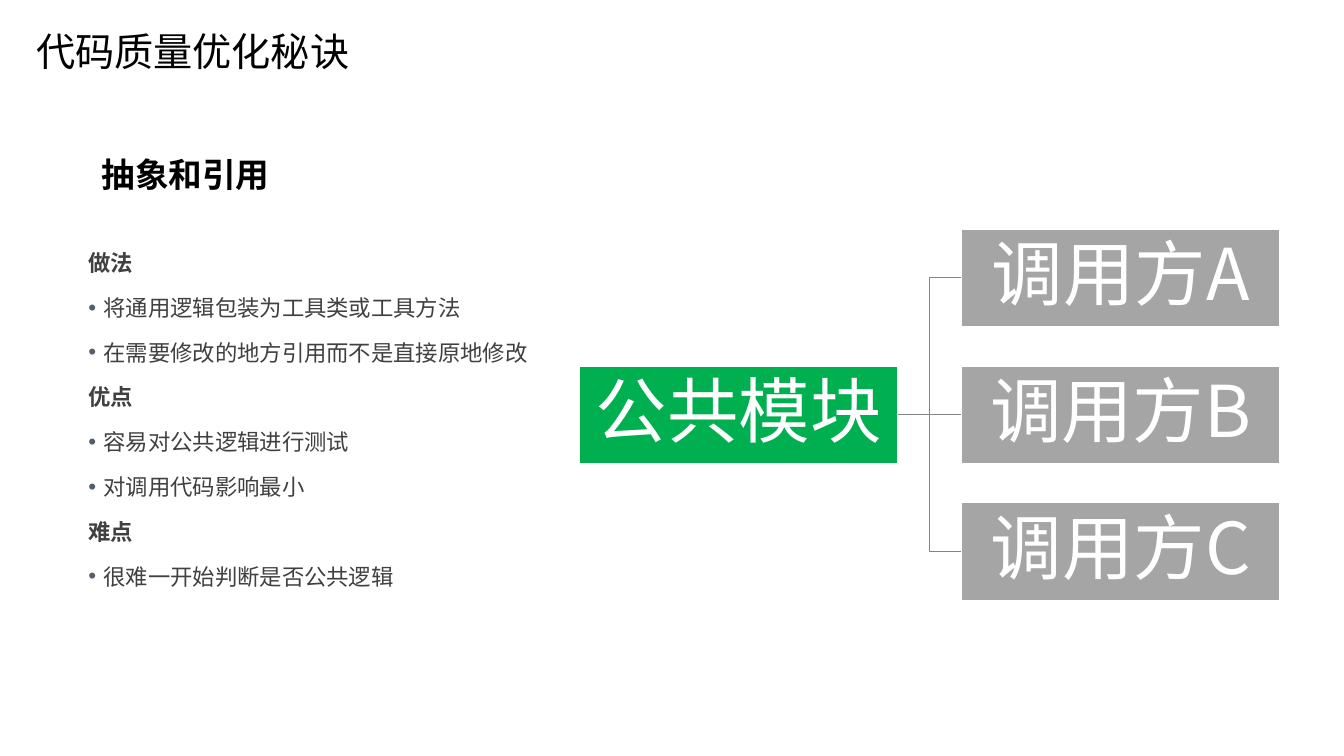
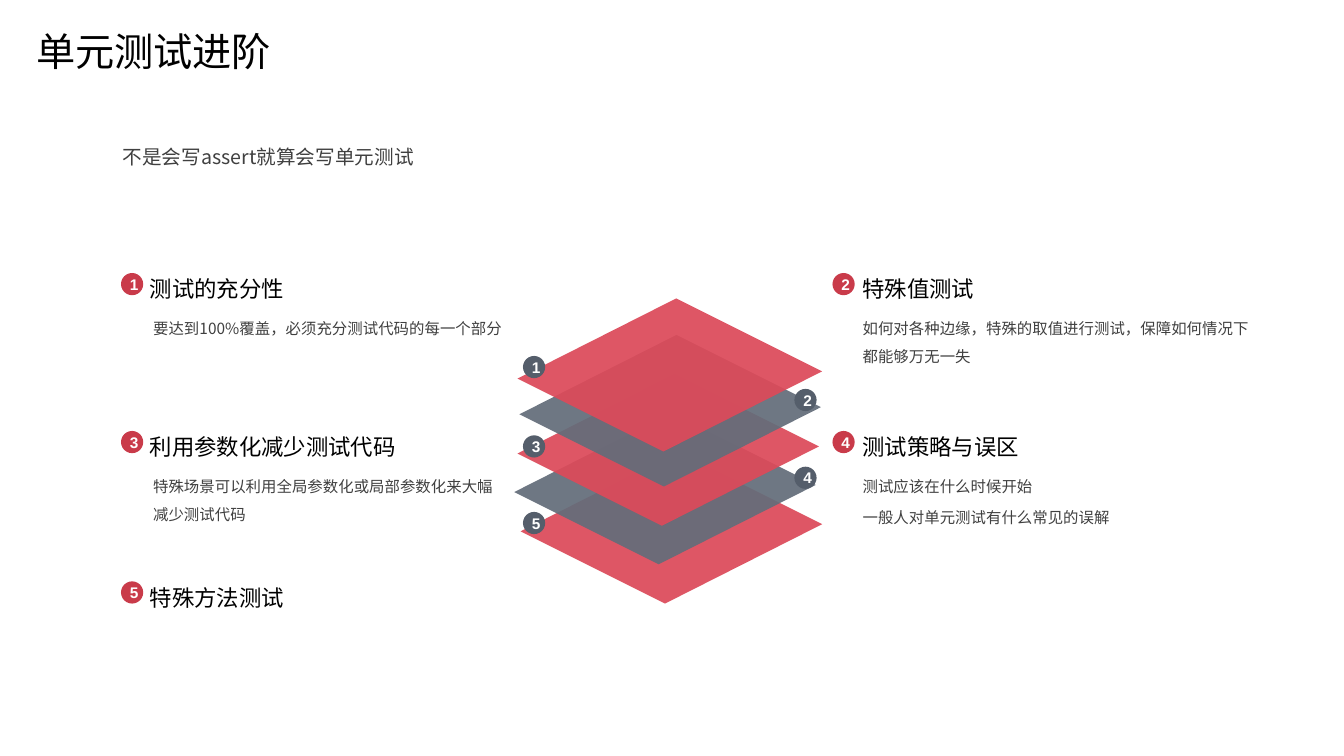
from lxml import etree
from pptx import Presentation
from pptx.dml.color import RGBColor
from pptx.enum.shapes import MSO_CONNECTOR as CONN, MSO_SHAPE as SHAPE
from pptx.enum.text import MSO_ANCHOR as ANCHOR, PP_ALIGN as ALIGN
from pptx.oxml.ns import qn
from pptx.util import Cm, Pt

# Shared style
COLORS = {
    "black": "000000", "body": "404040", "white": "FFFFFF",
    "green": "00B050", "gray": "A5A5A5", "line": "848484",
    "red": "C93B4A", "slate": "555E6B",
    "layer_red": "DC4A5A", "layer_slate": "646D7A",
}
CJK, LATIN = "Noto Sans CJK SC", "Arial"

# Slide 1 content
ABSTRACTION = [
    ("做法", ["将通用逻辑包装为工具类或工具方法",
            "在需要修改的地方引用而不是直接原地修改"]),
    ("优点", ["容易对公共逻辑进行测试", "对调用代码影响最小"]),
    ("难点", ["很难一开始判断是否公共逻辑"]),
]
HUB = "公共模块"
CALLERS = ["调用方A", "调用方B", "调用方C"]

# Slide 2 content: column, row, heading, heading width, body lines
TOPICS = [
    (0, 0, "测试的充分性", 5.9, ["要达到100%覆盖，必须充分测试代码的每一个部分"]),
    (1, 0, "特殊值测试", 5.9,
     ["如何对各种边缘，特殊的取值进行测试，保障如何情况下都能够万无一失"]),
    (0, 1, "利用参数化减少测试代码", 7.57,
     ["特殊场景可以利用全局参数化或局部参数化来大幅减少测试代码"]),
    (1, 1, "测试策略与误区", 5.9,
     ["测试应该在什么时候开始", "一般人对单元测试有什么常见的误解"]),
    (0, 2, "特殊方法测试", 5.9, []),
]
# Columns: badge x, heading x, body x, body width
COLUMNS = [(3.05, 3.53, 3.61, 9.42), (20.98, 21.49, 21.49, 10.24)]
ROWS = [6.48, 10.46, 14.25]
# Layers from the top: centre x, centre y, scale, badge y
LAYERS = [(16.88, 9.45, 1.01, 8.97), (16.89, 10.35, 1, 9.8),
          (16.84, 11.34, 1, 10.97), (16.76, 12.31, 1, 11.76),
          (16.92, 13.3, 1, 12.9)]
LAYER_BADGE_X = [13.18, 20.02]
DIAMOND = [(0.16, -1.91), (3.8, -0.09), (-0.16, 1.91), (-3.8, 0.09)]
BADGE = 0.56


def rgb(name):
    return RGBColor.from_string(COLORS[name])


def add_run(p, text, size, color, bold=False, font=CJK):
    r = p.add_run()
    r.text = text
    r.font.size, r.font.bold, r.font.name = Pt(size), bold, font
    r.font.color.rgb = rgb(color)
    etree.SubElement(r.font._element, qn("a:ea"), typeface=font)


def add_bullet(p):
    pPr = p._p.get_or_add_pPr()
    pPr.set("marL", str(Cm(0.38)))
    pPr.set("indent", str(-Cm(0.38)))
    clr = etree.SubElement(pPr, qn("a:buClr"))
    etree.SubElement(clr, qn("a:srgbClr"), val=COLORS["slate"])
    etree.SubElement(pPr, qn("a:buFont"), typeface=LATIN)
    etree.SubElement(pPr, qn("a:buChar"), char="•")


def add_text(s, x, y, w, h, lines, size, color="body", spacing=1.5):
    """Each line is (text, bold, bulleted)."""
    tf = s.shapes.add_textbox(Cm(x), Cm(y), Cm(w), Cm(h)).text_frame
    tf.word_wrap = True
    for i, (text, bold, bulleted) in enumerate(lines):
        p = tf.add_paragraph() if i else tf.paragraphs[0]
        p.line_spacing = spacing
        if i:
            p.space_before = Pt(size * 0.2)
        if bulleted:
            add_bullet(p)
        add_run(p, text, size, color, bold)


def add_slide(prs, title):
    s = prs.slides.add_slide(prs.slide_layouts[6])
    add_text(s, 0.66, 0.69, 21.03, 1.78, [(title, False, False)], 28, "black", 0.9)
    return s


def paint(sp, fill, line=None, alpha=None):
    sp.shadow.inherit = False
    sp.fill.solid()
    sp.fill.fore_color.rgb = rgb(fill)
    if alpha:
        clr = sp._element.spPr.find(qn("a:solidFill"))[0]
        etree.SubElement(clr, qn("a:alpha"), val=str(alpha * 1000))
    if line:
        sp.line.color.rgb = rgb(line)
        sp.line.width = Pt(1)
    else:
        sp.line.fill.background()


def add_label(sp, text, size, **style):
    tf = sp.text_frame
    tf.word_wrap = True
    tf.vertical_anchor = ANCHOR.MIDDLE
    p = tf.paragraphs[0]
    p.alignment = ALIGN.CENTER
    add_run(p, text, size, "white", **style)
    return tf


def add_module(s, x, y, text, fill):
    sp = s.shapes.add_shape(SHAPE.RECTANGLE, Cm(x), Cm(y), Cm(8.03), Cm(2.46))
    paint(sp, fill, "white")
    tf = add_label(sp, text, 51)
    tf.paragraphs[0].line_spacing = 0.9
    tf.margin_left = tf.margin_right = tf.margin_top = tf.margin_bottom = Cm(0.1)
    return sp


def add_badge(s, x, y, number, fill):
    sp = s.shapes.add_shape(SHAPE.OVAL, Cm(x), Cm(y), Cm(BADGE), Cm(BADGE))
    paint(sp, fill)
    add_label(sp, str(number), 11, bold=True, font=LATIN)


def link(s, start, end):
    kind = CONN.STRAIGHT if start.top == end.top else CONN.ELBOW
    c = s.shapes.add_connector(kind, 0, 0, 0, 0)
    c.begin_connect(start, 3)
    c.end_connect(end, 1)
    c.line.color.rgb = rgb("line")
    c.line.width = Pt(1)
    etree.SubElement(c._element.spPr, qn("a:effectLst"))


def add_layer(s, cx, cy, scale, fill):
    pts = [(Cm(cx + dx * scale), Cm(cy + dy * scale)) for dx, dy in DIAMOND]
    fb = s.shapes.build_freeform(*pts[0])
    fb.add_line_segments(pts[1:], close=True)
    paint(fb.convert_to_shape(), fill, alpha=93)


def build_abstraction(prs):
    s = add_slide(prs, "代码质量优化秘诀")
    lines = []
    for heading, points in ABSTRACTION:
        lines.append((heading, True, False))
        lines += [(point, False, True) for point in points]
    add_text(s, 1.98, 5.82, 13.59, 11.48, lines, 16)
    add_text(s, 2.31, 3.25, 6.12, 1.73, [("抽象和引用", True, False)], 24, "black")

    # Module tree
    hub = add_module(s, 14.6, 9.22, HUB, "green")
    for i, name in enumerate(CALLERS):
        link(s, hub, add_module(s, 24.23, 9.22 + (i - 1) * 3.45, name, "gray"))


def build_testing(prs):
    s = add_slide(prs, "单元测试进阶")
    add_text(s, 2.84, 3.23, 28.88, 1.88,
             [("不是会写assert就算会写单元测试", False, False)], 14)

    # Stack, drawn from the bottom layer up
    for i, (cx, cy, scale, _) in reversed(list(enumerate(LAYERS))):
        add_layer(s, cx, cy, scale, ("layer_red", "layer_slate")[i % 2])
    for i, layer in enumerate(LAYERS):
        add_badge(s, LAYER_BADGE_X[i % 2], layer[3], i + 1, "slate")

    # Topics
    for n, (col, row, heading, width, body) in enumerate(TOPICS, 1):
        badge_x, head_x, body_x, body_w = COLUMNS[col]
        y = ROWS[row]
        add_badge(s, badge_x, y + 0.4, n, "red")
        add_text(s, head_x, y, width, 1.17, [(heading, False, False)], 16, "black")
        if body:
            add_text(s, body_x, y + 1.2, body_w, 2.44,
                     [(text, False, False) for text in body], 11)


def main():
    prs = Presentation()
    prs.slide_width, prs.slide_height = Cm(33.87), Cm(19.05)
    build_abstraction(prs)
    build_testing(prs)
    prs.save("out.pptx")


if __name__ == "__main__":
    main()
